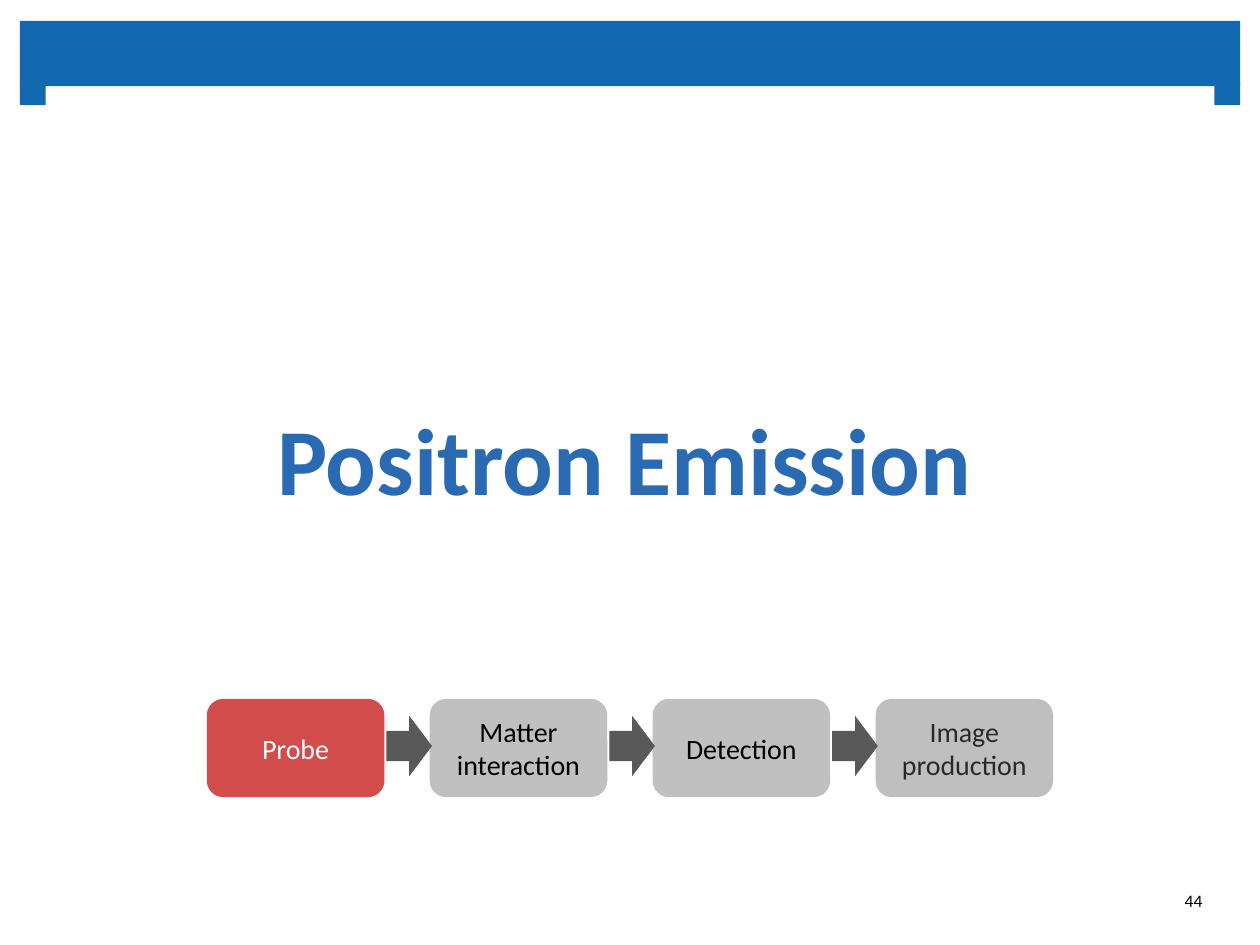
from dataclasses import dataclass

import pptx
import pptx.util
import pptx.dml.color
import pptx.enum.shapes
import pptx.enum.text
import pptx.oxml.ns
from lxml import etree

Cm = pptx.util.Cm
Pt = pptx.util.Pt
SHAPE = pptx.enum.shapes.MSO_SHAPE
ALIGN = pptx.enum.text.PP_ALIGN
MIDDLE = pptx.enum.text.MSO_ANCHOR.MIDDLE


@dataclass(frozen=True)
class Theme:
    font: str = "Calibri"
    banner: str = "1269B0"
    title: str = "2A6AB3"
    active: str = "C00000"
    step: str = "A6A6A6"
    last_step: str = "BFBFBF"
    arrow: str = "595959"
    light: str = "FFFFFF"
    dark: str = "000000"
    soft_dark: str = "292929"
    title_size: int = 54
    step_size: int = 16
    number_size: int = 10


THEME = Theme()

# label, fill, opacity in percent, text colour
STEPS = [
    ("Probe", THEME.active, 70, THEME.light),
    ("Matter\vinteraction", THEME.step, 70, THEME.dark),
    ("Detection", THEME.step, 70, THEME.dark),
    ("Image\vproduction", THEME.last_step, 100, THEME.soft_dark),
]


def rgb(value):
    return pptx.dml.color.RGBColor.from_string(value)


def add_block(slide, kind, left, top, width, height, color, opacity=100):
    """Add a flat preset shape without outline; lengths in cm."""
    sp = slide.shapes.add_shape(kind, Cm(left), Cm(top), Cm(width), Cm(height))
    sp.shadow.inherit = False
    sp.line.fill.background()
    sp.fill.solid()
    sp.fill.fore_color.rgb = rgb(color)
    if opacity < 100:
        qn = pptx.oxml.ns.qn
        clr = sp.fill._xPr.find(qn("a:solidFill")).find(qn("a:srgbClr"))
        etree.SubElement(clr, qn("a:alpha"), val=str(opacity * 1000))
    return sp


def write(sp, text, size, color, align=ALIGN.CENTER, bold=False, inset=(0, 0)):
    """Fill a shape with one middle-anchored paragraph; inset is (x, y) in cm."""
    tf = sp.text_frame
    tf.word_wrap = True
    tf.auto_size = pptx.enum.text.MSO_AUTO_SIZE.NONE
    tf.vertical_anchor = MIDDLE
    tf.margin_left = tf.margin_right = Cm(inset[0])
    tf.margin_top = tf.margin_bottom = Cm(inset[1])
    tf.text = text
    p = tf.paragraphs[0]
    p.alignment = align
    for r in p.runs:
        r.font.name = THEME.font
        r.font.size = Pt(size)
        r.font.bold = bold
        r.font.color.rgb = rgb(color)


def add_banner(slide, left, top, width, height):
    """Bar across the slide with a short foot at each end."""
    bar_h, foot_w, foot_h = 1.32, 0.52, 0.46
    add_block(slide, SHAPE.RECTANGLE, left, top, width, bar_h, THEME.banner)
    for x in (left, left + width - foot_w):
        add_block(slide, SHAPE.RECTANGLE, x, top + height - foot_h,
                  foot_w, foot_h, THEME.banner)


def place_title(slide, text, left, top, width, height):
    sp = slide.shapes.title
    sp.left, sp.top, sp.width, sp.height = map(Cm, (left, top, width, height))
    write(sp, text, THEME.title_size, THEME.title, bold=True, inset=(0, 0.2))


def add_process(slide, left, top, width, height):
    """Row of equally spaced steps with an arrow after each but the last."""
    step_w, arrow_w, arrow_h = 3.58, 0.92, 1.22
    pitch = (width - step_w) / (len(STEPS) - 1)
    for i, (label, fill, opacity, color) in enumerate(STEPS):
        sp = add_block(slide, SHAPE.ROUNDED_RECTANGLE, left + i * pitch, top,
                       step_w, height, fill, opacity)
        write(sp, label, THEME.step_size, color)
    for i in range(len(STEPS) - 1):
        add_block(slide, SHAPE.RIGHT_ARROW, left + i * pitch + step_w + 0.04,
                  top + (height - arrow_h) / 2 - 0.04, arrow_w, arrow_h,
                  THEME.arrow)


def add_slide_number(slide, text, left, top, width, height):
    sp = slide.shapes.add_textbox(Cm(left), Cm(top), Cm(width), Cm(height))
    write(sp, text, THEME.number_size, THEME.dark, ALIGN.RIGHT, inset=(0.25, 0.13))


def main():
    prs = pptx.Presentation()
    prs.slide_width, prs.slide_height = Cm(25.4), Cm(19.05)
    slide = prs.slides.add_slide(prs.slide_layouts.get_by_name("Title Only"))
    add_banner(slide, 0.4, 0.42, 24.6, 1.7)
    place_title(slide, "Positron Emission", 0.89, 6.12, 23.4, 6.2)
    add_process(slide, 4.17, 14.09, 17.06, 1.98)
    add_slide_number(slide, "44", 18.77, 17.65, 5.72, 1.02)
    prs.save("out.pptx")


if __name__ == "__main__":
    main()
